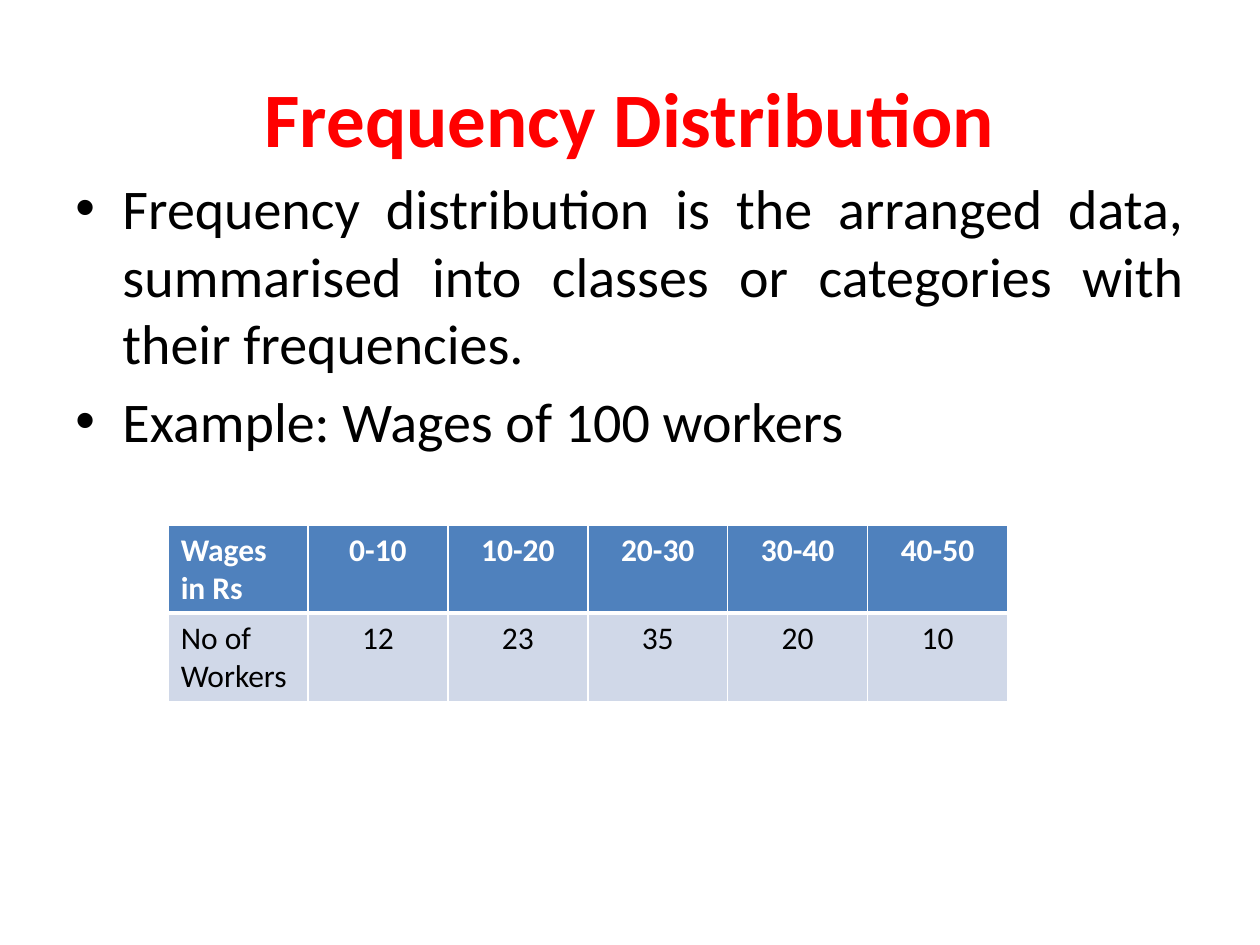
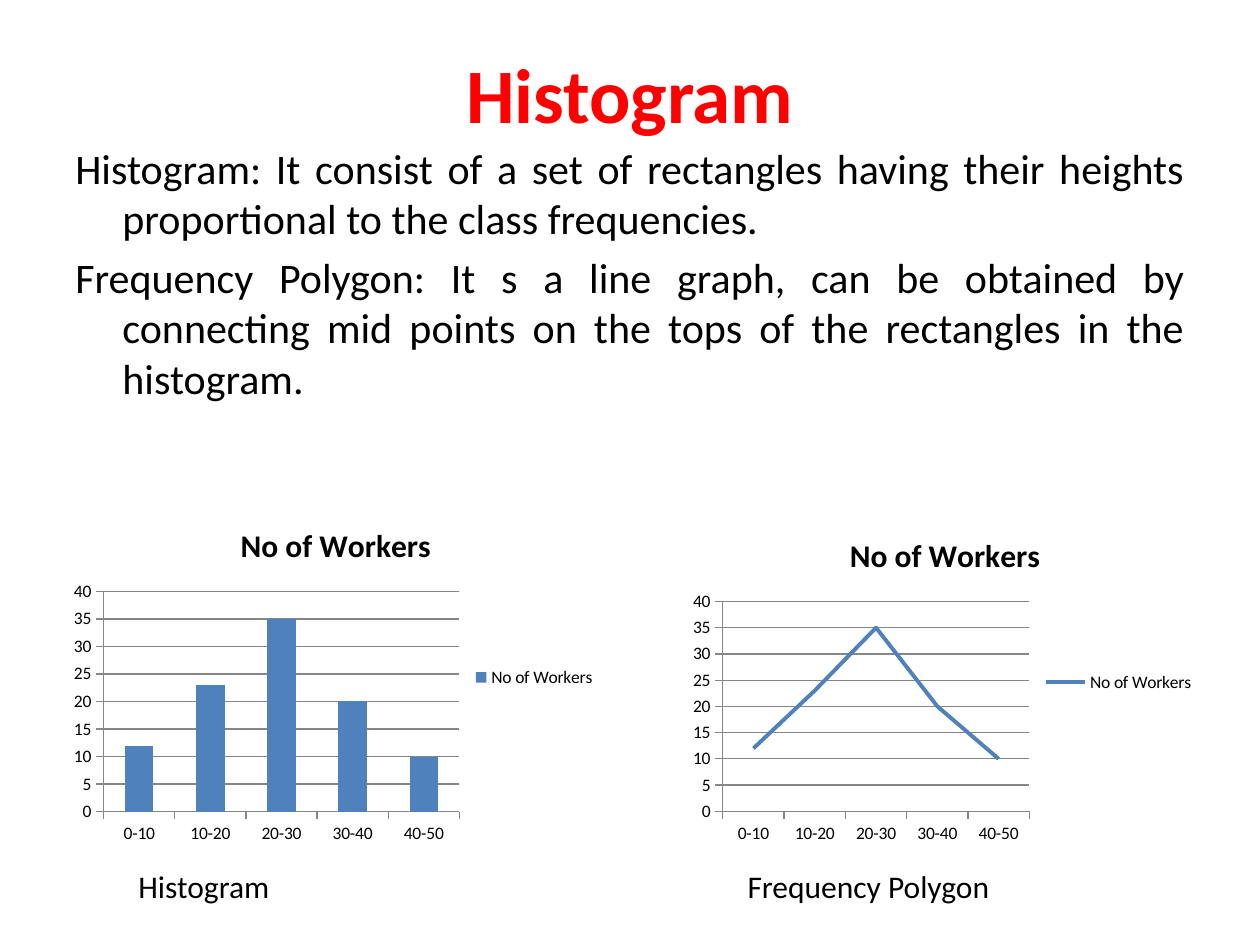
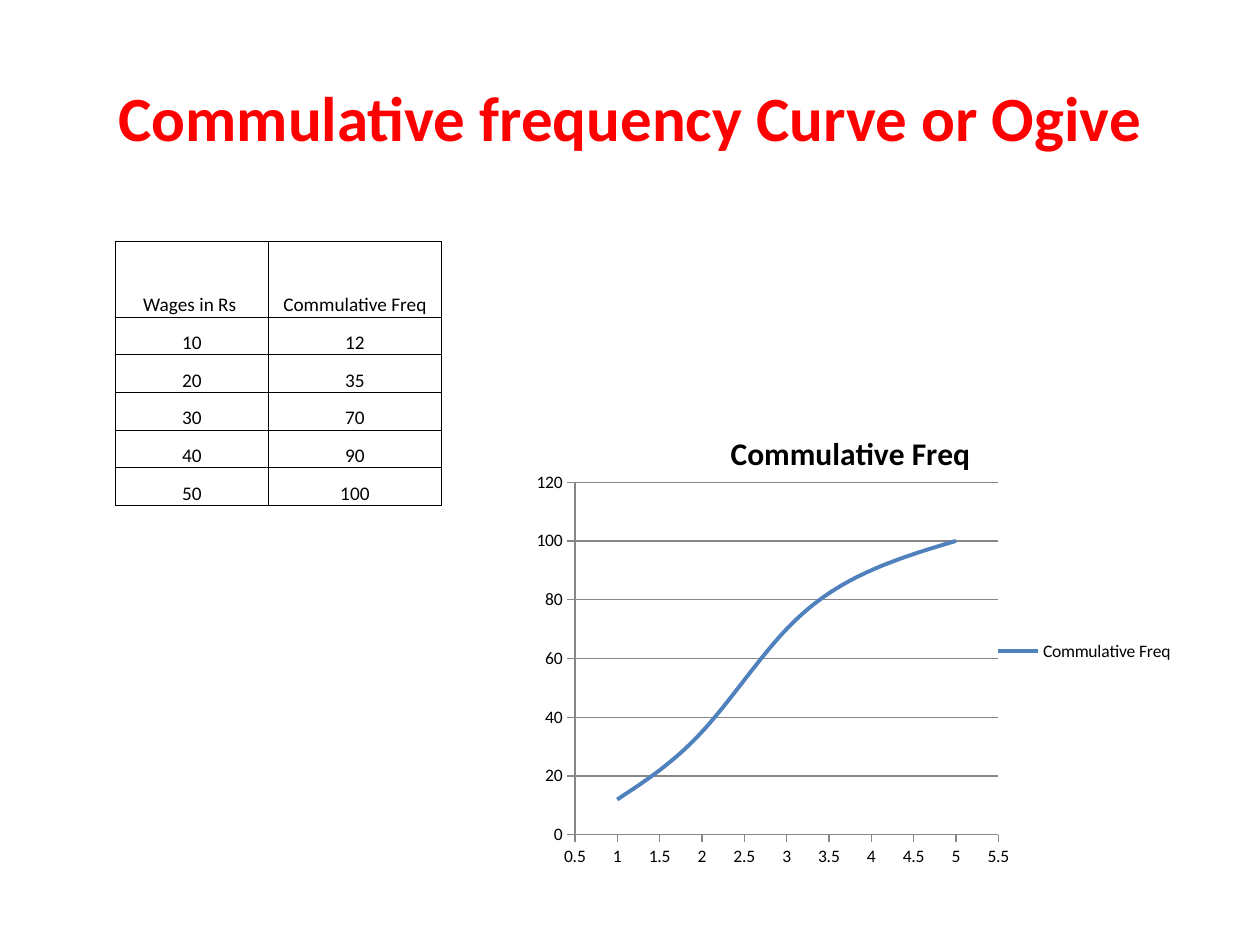
from dataclasses import dataclass

import pptx
import pptx.chart.data
import pptx.dml.color
import pptx.enum.chart
import pptx.enum.text
import pptx.oxml
import pptx.oxml.ns
import pptx.util
from lxml import etree

Cm = pptx.util.Cm
Pt = pptx.util.Pt
qn = pptx.oxml.ns.qn
Align = pptx.enum.text.PP_ALIGN
Anchor = pptx.enum.text.MSO_ANCHOR
ChartType = pptx.enum.chart.XL_CHART_TYPE


@dataclass(frozen=True)
class Theme:
    font: str = "Calibri"
    title: str = "FF0000"
    text: str = "000000"
    white: str = "FFFFFF"
    accent: str = "4F81BD"
    pale: str = "D0D8E8"
    grid: str = "868686"
    title_size: int = 44
    long_title_size: int = 36
    body_size: int = 32
    small_body_size: int = 24
    label_size: int = 18
    grid_size: int = 11
    chart_size: int = 10


THEME = Theme()
TITLE_BOX = (1.27, 0.76, 22.86, 3.18)
HANGING = Cm(0.95)

CLASSES = ["0-10", "10-20", "20-30", "30-40", "40-50"]
WORKERS = [12, 23, 35, 20, 10]
WAGE_LIMITS = [10, 20, 30, 40, 50]
CUMULATIVE = [12, 35, 70, 90, 100]

DISTRIBUTION_POINTS = [
    ("Frequency distribution is the arranged data, summarised into classes or "
     "categories with their frequencies.", Align.JUSTIFY),
    ("Example: Wages of 100 workers", Align.LEFT),
]
HISTOGRAM_POINTS = [
    ("Histogram: It consist of a set of rectangles having their heights "
     "proportional to the class frequencies.", Align.JUSTIFY),
    ("Frequency Polygon: It s a line graph, can be obtained by connecting mid "
     "points on the tops of the rectangles in the histogram.", Align.JUSTIFY),
]
WAGES_TABLE = [["Wages in Rs", *CLASSES], ["No of Workers", *WORKERS]]
CUMULATIVE_TABLE = [["Wages in Rs ", "Commulative Freq"],
                    *zip(WAGE_LIMITS, CUMULATIVE)]
# chart type, chart box, caption, caption box
WORKER_CHARTS = [
    (ChartType.COLUMN_CLUSTERED, (1.27, 10.16, 11, 6.99),
     "Histogram", (2.54, 17.36, 7.42, 1.02)),
    (ChartType.LINE, (13.76, 10.37, 10.58, 6.77),
     "Frequency Polygon", (14.82, 17.36, 8.89, 1.02)),
]


def rgb(color):
    return pptx.dml.color.RGBColor.from_string(color)


def place(box):
    return [Cm(length) for length in box]


def style_font(font, size, color=THEME.text, bold=False):
    font.name = THEME.font
    font.size = Pt(size)
    font.bold = bold
    font.color.rgb = rgb(color)


def add_titled_slide(presentation, text, size=THEME.title_size, box=TITLE_BOX):
    slide = presentation.slides.add_slide(presentation.slide_layouts[5])
    title = slide.shapes.title
    title.left, title.top, title.width, title.height = place(box)
    title.text_frame.text = text
    title.text_frame.vertical_anchor = Anchor.MIDDLE
    paragraph = title.text_frame.paragraphs[0]
    paragraph.alignment = Align.CENTER
    style_font(paragraph.font, size, THEME.title, bold=True)
    return slide


def add_body(slide, points, box, size, bullet=None):
    frame = slide.shapes.add_textbox(*place(box)).text_frame
    frame.word_wrap = True
    for index, (text, alignment) in enumerate(points):
        paragraph = frame.add_paragraph() if index else frame.paragraphs[0]
        paragraph.text = text
        properties = paragraph._p.get_or_add_pPr()
        properties.set("marL", str(HANGING))
        properties.set("indent", str(-HANGING))
        if bullet:
            etree.SubElement(properties, qn("a:buFont")).set("typeface", "Arial")
            etree.SubElement(properties, qn("a:buChar")).set("char", bullet)
        paragraph.alignment = alignment
        if index:
            paragraph.space_before = Pt(0.2 * size)
        style_font(paragraph.font, size)


def add_caption(slide, text, box):
    frame = slide.shapes.add_textbox(*place(box)).text_frame
    frame.word_wrap = True
    frame.auto_size = pptx.enum.text.MSO_AUTO_SIZE.SHAPE_TO_FIT_TEXT
    frame.text = text
    style_font(frame.paragraphs[0].font, THEME.label_size)


def set_borders(cell, color, left, right, top, bottom):
    """Draw the four cell borders, widths in points; call before filling."""
    properties = cell._tc.get_or_add_tcPr()
    for side, width in zip("LRTB", (left, right, top, bottom)):
        line = etree.SubElement(properties, qn(f"a:ln{side}"))
        line.set("w", str(Pt(width)))
        fill = etree.SubElement(line, qn("a:solidFill"))
        etree.SubElement(fill, qn("a:srgbClr")).set("val", color)


def add_grid(slide, rows, left, top, column_widths, row_heights, style_cell):
    table = slide.shapes.add_table(
        len(rows), len(column_widths), Cm(left), Cm(top),
        Cm(sum(column_widths)), Cm(sum(row_heights))).table
    for column, width in zip(table.columns, column_widths):
        column.width = Cm(width)
    for row, height in zip(table.rows, row_heights):
        row.height = Cm(height)
    for row_index, values in enumerate(rows):
        for column_index, value in enumerate(values):
            cell = table.cell(row_index, column_index)
            cell.text = str(value)
            style_cell(cell, row_index, column_index)


def style_wages_cell(cell, row, column):
    header = row == 0
    set_borders(cell, THEME.white, 1, 1, 1 if header else 3, 3 if header else 1)
    cell.fill.solid()
    cell.fill.fore_color.rgb = rgb(THEME.accent if header else THEME.pale)
    paragraph = cell.text_frame.paragraphs[0]
    paragraph.alignment = Align.CENTER if column else Align.LEFT
    style_font(paragraph.font, THEME.label_size,
               THEME.white if header else THEME.text, bold=header)


def style_cumulative_cell(cell, row, column):
    set_borders(cell, THEME.text, 0.5, 0.5, 0.5, 0.5)
    cell.fill.background()
    cell.margin_left = cell.margin_right = cell.margin_top = cell.margin_bottom = 0
    cell.vertical_anchor = Anchor.BOTTOM
    paragraph = cell.text_frame.paragraphs[0]
    paragraph.alignment = Align.CENTER
    style_font(paragraph.font, THEME.grid_size)


def add_styled_chart(slide, chart_type, box, data, title):
    chart = slide.shapes.add_chart(chart_type, *place(box), data).chart
    style_font(chart.font, THEME.chart_size)
    chart.has_title = True
    chart.chart_title.text_frame.text = title
    style_font(chart.chart_title.text_frame.paragraphs[0].font,
               THEME.label_size, bold=True)
    chart.has_legend = True
    chart.legend.position = pptx.enum.chart.XL_LEGEND_POSITION.RIGHT
    chart.legend.include_in_layout = False

    chart.category_axis.has_major_gridlines = False
    chart.value_axis.has_major_gridlines = True
    for part in (chart.category_axis, chart.value_axis,
                 chart.value_axis.major_gridlines):
        part.format.line.color.rgb = rgb(THEME.grid)
        part.format.line.width = Pt(0.75)
    for axis in (chart.category_axis, chart.value_axis):
        axis.major_tick_mark = pptx.enum.chart.XL_TICK_MARK.OUTSIDE

    plot = chart.plots[0]
    plot.vary_by_categories = False
    series = plot.series[0]
    if chart_type == ChartType.COLUMN_CLUSTERED:
        plot.gap_width = 150
        series.format.fill.solid()
        series.format.fill.fore_color.rgb = rgb(THEME.accent)
    else:
        series.format.line.color.rgb = rgb(THEME.accent)
        series.format.line.width = Pt(2.25)
    if chart_type == ChartType.LINE:
        series.smooth = False
    return chart


def set_plot_area(chart, x, y, w, h):
    """Fix the inner plot area, in fractions of the chart."""
    plot_area = chart._chartSpace.find(".//" + qn("c:plotArea"))
    for old_layout in plot_area.findall(qn("c:layout")):
        plot_area.remove(old_layout)
    layout = etree.Element(qn("c:layout"))
    plot_area.insert(0, layout)
    manual = etree.SubElement(layout, qn("c:manualLayout"))
    for tag, value in (("layoutTarget", "inner"), ("xMode", "edge"),
                       ("yMode", "edge"), ("x", x), ("y", y), ("w", w), ("h", h)):
        etree.SubElement(manual, qn(f"c:{tag}")).set("val", str(value))


def use_text_x_values(chart):
    """Store the wage limits as text, so the points are spaced 1, 2, 3 and on."""
    x_values = chart._chartSpace.find(".//" + qn("c:xVal"))
    reference = x_values.find(qn("c:numRef"))
    cache = reference.find(qn("c:numCache"))
    cache.remove(cache.find(qn("c:formatCode")))
    reference.tag, cache.tag = qn("c:strRef"), qn("c:strCache")


def add_distribution_slide(presentation):
    slide = add_titled_slide(presentation, "Frequency Distribution")
    add_body(slide, DISTRIBUTION_POINTS, (1.27, 3.38, 22.86, 13.64),
             THEME.body_size, bullet="•")
    add_grid(slide, WAGES_TABLE, 3.39, 10.58, [2.82] * 6, [1.78] * 2,
             style_wages_cell)


def add_histogram_slide(presentation):
    slide = add_titled_slide(presentation, "Histogram",
                             box=(1.27, 0.76, 22.86, 2.2))
    add_body(slide, HISTOGRAM_POINTS, (1.27, 2.74, 22.86, 14.27),
             THEME.small_body_size)
    data = pptx.chart.data.CategoryChartData()
    data.categories = CLASSES
    data.add_series("No of Workers", WORKERS)
    for chart_type, chart_box, caption, caption_box in WORKER_CHARTS:
        add_styled_chart(slide, chart_type, chart_box, data, "No of Workers")
        add_caption(slide, caption, caption_box)


def add_ogive_slide(presentation):
    slide = add_titled_slide(presentation, "Commulative frequency Curve or Ogive",
                             THEME.long_title_size)
    data = pptx.chart.data.XyChartData()
    series = data.add_series("Commulative Freq")
    for limit, total in zip(WAGE_LIMITS, CUMULATIVE):
        series.add_data_point(limit, total)
    chart = add_styled_chart(slide, ChartType.XY_SCATTER_SMOOTH_NO_MARKERS,
                             (10.37, 8.26, 13.55, 9.74), data, "Commulative Freq")
    for smooth in chart._chartSpace.iter(qn("c:smooth")):
        smooth.set("val", "1")
    set_plot_area(chart, 0.09, 0.15, 0.63, 0.73)
    use_text_x_values(chart)
    add_grid(slide, CUMULATIVE_TABLE, 2.33, 4.87, [3.08, 3.49],
             [1.52] + [0.76] * len(CUMULATIVE), style_cumulative_cell)


def main():
    presentation = pptx.Presentation()
    presentation.slide_width, presentation.slide_height = Cm(25.4), Cm(19.05)
    add_distribution_slide(presentation)
    add_histogram_slide(presentation)
    add_ogive_slide(presentation)
    presentation.save("out.pptx")


if __name__ == "__main__":
    main()
